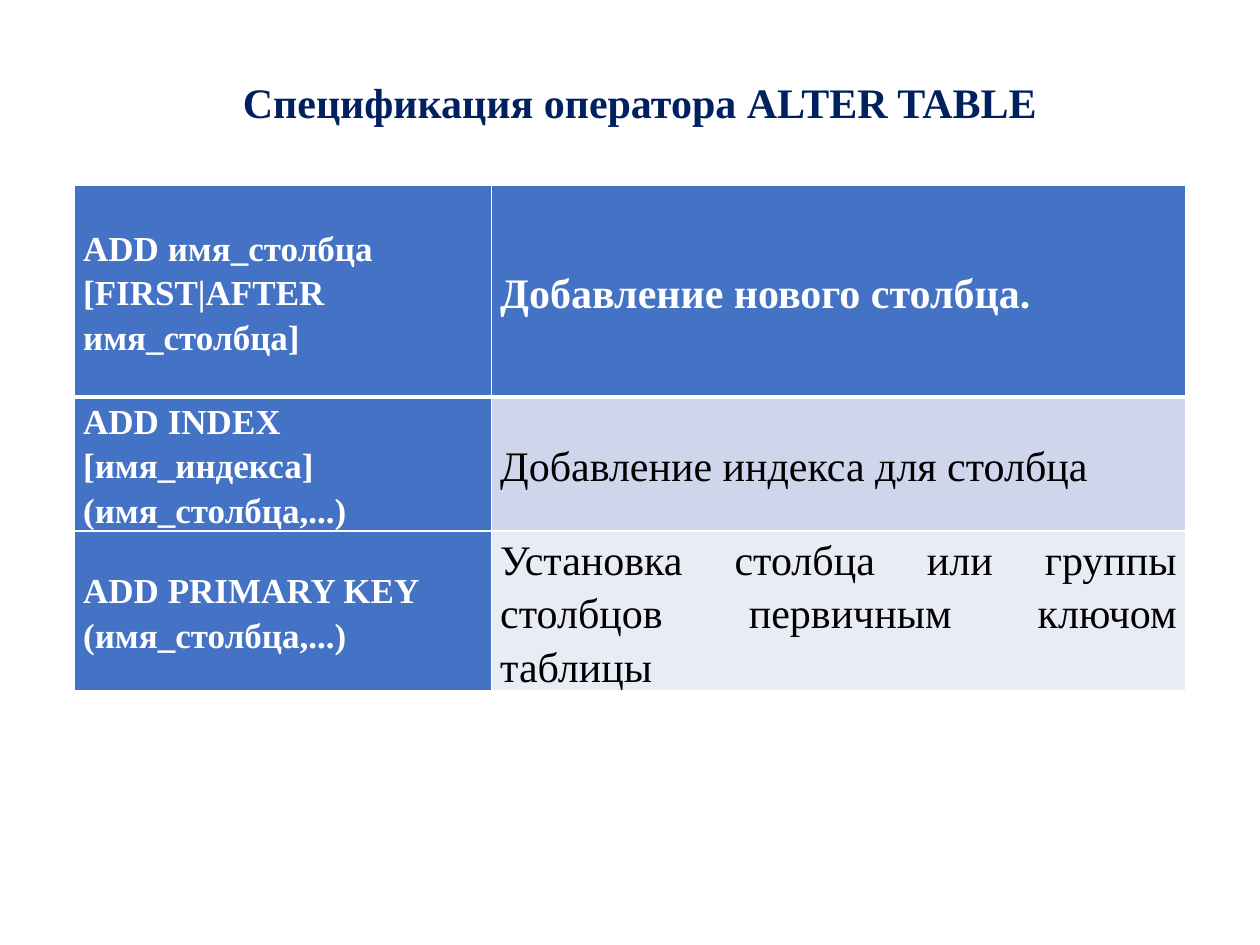
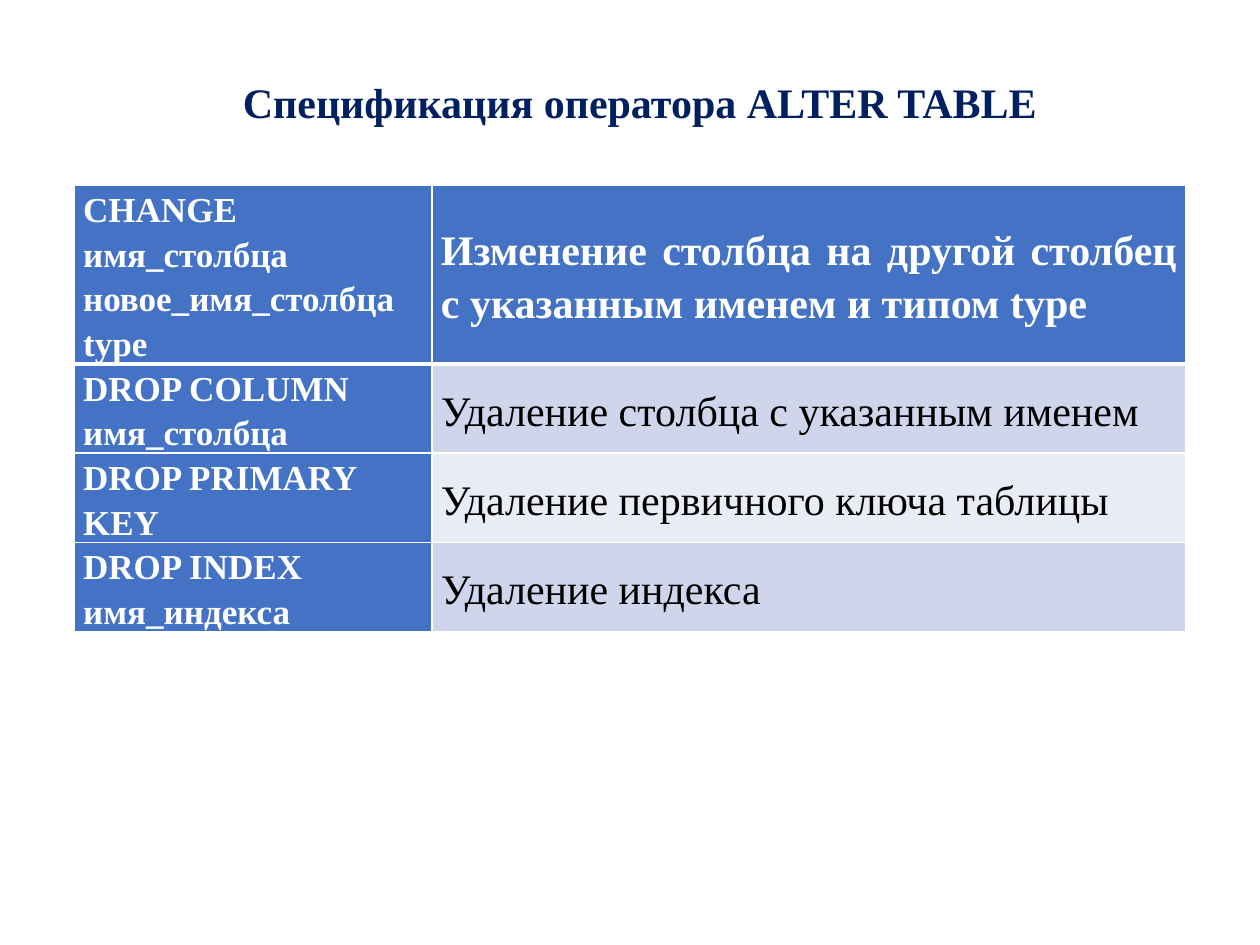
from dataclasses import dataclass

from lxml import etree
from pptx import Presentation
from pptx import util as u
from pptx.dml import color
from pptx.enum import text
from pptx.oxml import ns


@dataclass(frozen=True)
class Theme:
    font: str = "Times New Roman"
    navy: str = "002060"
    blue: str = "4472C4"
    bands: tuple[str, str] = ("CFD5EA", "E9EBF5")
    white: str = "FFFFFF"
    black: str = "000000"
    title_size: int = 24
    command_size: int = 20
    meaning_size: int = 24
    thin_border: int = 1
    header_border: int = 3


@dataclass(frozen=True)
class Row:
    command: str
    meaning: str
    height: float


@dataclass(frozen=True)
class Page:
    command_width: float
    rows: tuple[Row, ...]


THEME = Theme()
TITLE = "Спецификация оператора ALTER TABLE "
TABLE_LEFT, TABLE_TOP, TABLE_WIDTH = 0.59, 1.47, 8.82

PAGES = (
    Page(3.31, (
        Row("ADD имя_столбца [FIRST|AFTER имя_столбца]",
            "Добавление нового столбца.", 1.68),
        Row("ADD INDEX [имя_индекса] (имя_столбца,...)",
            "Добавление индекса для столбца", 1.0),
        Row("ADD PRIMARY KEY (имя_столбца,...)",
            "Установка столбца или группы столбцов первичным ключом таблицы", 1.25),
    )),
    Page(2.84, (
        Row("CHANGE имя_столбца новое_имя_столбца type",
            "Изменение столбца на другой столбец с указанным именем и типом type", 1.4),
        Row("DROP COLUMN имя_столбца", "Удаление столбца с указанным именем", 0.7),
        Row("DROP PRIMARY KEY", "Удаление первичного ключа таблицы", 0.7),
        Row("DROP INDEX имя_индекса", "Удаление индекса", 0.7),
    )),
)


def add_run(paragraph, words: str, size: int, rgb: str, bold: bool) -> None:
    run = paragraph.add_run()
    run.text = words
    run.font.name = THEME.font
    run.font.size = u.Pt(size)
    run.font.bold = bold
    run.font.color.rgb = color.RGBColor.from_string(rgb)


def set_borders(cell, top: int, bottom: int) -> None:
    """Give the cell white edges; call before the fill is set."""
    properties = cell._tc.get_or_add_tcPr()
    thin = THEME.thin_border
    for side, points in (("L", thin), ("R", thin), ("T", top), ("B", bottom)):
        line = etree.SubElement(properties, ns.qn(f"a:ln{side}"), w=str(u.Pt(points)))
        fill = etree.SubElement(line, ns.qn("a:solidFill"))
        etree.SubElement(fill, ns.qn("a:srgbClr"), val=THEME.white)


def fill_cell(cell, words: str, row_index: int, is_command: bool) -> None:
    # Edges: the line under the first row is heavier
    set_borders(
        cell,
        top=THEME.header_border if row_index == 1 else THEME.thin_border,
        bottom=THEME.header_border if row_index == 0 else THEME.thin_border,
    )
    # The first row and the command column are blue, the rest is banded
    emphasized = is_command or row_index == 0
    background = THEME.blue if emphasized else THEME.bands[(row_index - 1) % 2]
    cell.fill.solid()
    cell.fill.fore_color.rgb = color.RGBColor.from_string(background)
    # Text
    cell.vertical_anchor = text.MSO_ANCHOR.MIDDLE
    cell.margin_left = cell.margin_right = u.Inches(0.07)
    cell.margin_top = cell.margin_bottom = 0
    paragraph = cell.text_frame.paragraphs[0]
    paragraph.alignment = text.PP_ALIGN.LEFT if is_command else text.PP_ALIGN.JUSTIFY
    paragraph.line_spacing = 1.15
    add_run(
        paragraph, words,
        THEME.command_size if is_command else THEME.meaning_size,
        THEME.white if emphasized else THEME.black,
        emphasized,
    )


def add_title(slide) -> None:
    title = slide.shapes.title
    title.left, title.top = u.Inches(0.83), u.Inches(0.6)
    title.width, title.height = u.Inches(8.58), u.Inches(6.46)
    frame = title.text_frame
    frame.word_wrap = True
    frame.auto_size = text.MSO_AUTO_SIZE.NONE
    frame.vertical_anchor = text.MSO_ANCHOR.TOP
    paragraph = frame.paragraphs[0]
    paragraph.alignment = text.PP_ALIGN.CENTER
    paragraph.line_spacing = 0.9
    paragraph.space_before = u.Pt(7.5)
    add_run(paragraph, TITLE, THEME.title_size, THEME.navy, True)


def add_specification(slide, page: Page) -> None:
    height = sum(row.height for row in page.rows)
    table = slide.shapes.add_table(
        len(page.rows), 2, u.Inches(TABLE_LEFT), u.Inches(TABLE_TOP),
        u.Inches(TABLE_WIDTH), u.Inches(height),
    ).table
    table.first_col = True
    table.columns[0].width = u.Inches(page.command_width)
    table.columns[1].width = u.Inches(TABLE_WIDTH - page.command_width)
    for index, row in enumerate(page.rows):
        table.rows[index].height = u.Inches(row.height)
        fill_cell(table.cell(index, 0), row.command, index, True)
        fill_cell(table.cell(index, 1), row.meaning, index, False)


def main() -> None:
    presentation = Presentation()
    presentation.slide_width, presentation.slide_height = u.Inches(10), u.Inches(7.5)
    title_only = presentation.slide_layouts[5]
    for page in PAGES:
        slide = presentation.slides.add_slide(title_only)
        add_title(slide)
        add_specification(slide, page)
    presentation.save("out.pptx")


main()
